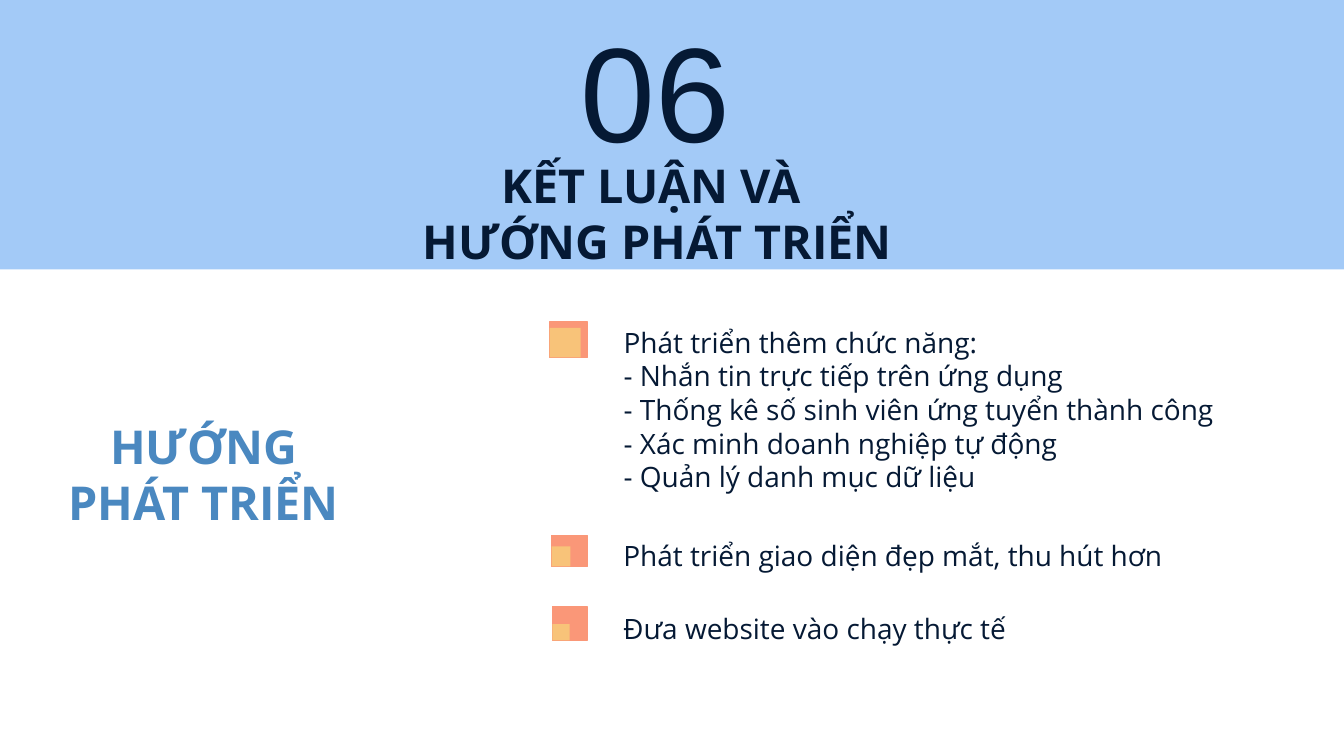
import pptx
import pptx.util
import pptx.dml.color
import pptx.enum.shapes
import pptx.enum.text
import pptx.oxml.ns
import lxml.etree

RGBColor = pptx.dml.color.RGBColor
ANCHOR = pptx.enum.text.MSO_ANCHOR
ALIGN = pptx.enum.text.PP_ALIGN
SKY = RGBColor(0xA3, 0xCA, 0xF7)
NAVY = RGBColor(0x05, 0x19, 0x34)
BLUE = RGBColor(0x4A, 0x88, 0xC0)
CORAL = RGBColor(0xFA, 0x97, 0x78)
AMBER = RGBColor(0xF8, 0xC3, 0x79)
PX = 4572

FEATURES = [
    "Phát triển thêm chức năng:",
    "- Nhắn tin trực tiếp trên ứng dụng",
    "- Thống kê số sinh viên ứng tuyển thành công",
    "- Xác minh doanh nghiệp tự động",
    "- Quản lý danh mục dữ liệu",
]


def place(sp, box):
    sp.left, sp.top, sp.width, sp.height = [v * PX for v in box]


def add_rect(s, box, color, outlined=False):
    sp = s.shapes.add_shape(pptx.enum.shapes.MSO_SHAPE.RECTANGLE, *[v * PX for v in box])
    sp.shadow.inherit = False
    sp.fill.solid()
    sp.fill.fore_color.rgb = color
    if outlined:
        sp.line.color.rgb = color
        sp.line.width = pptx.util.Pt(0.75)
    else:
        sp.line.fill.background()
    return sp


def add_textbox(s):
    return s.shapes.add_textbox(0, 0, PX, PX)


def write(sp, box, paragraphs, size, color=NAVY, font="Open Sans", bold=False,
          align=ALIGN.LEFT, anchor=ANCHOR.MIDDLE):
    place(sp, box)
    tf = sp.text_frame
    tf.word_wrap = True
    tf.auto_size = pptx.enum.text.MSO_AUTO_SIZE.NONE
    tf.vertical_anchor = anchor
    tf.margin_left = tf.margin_right = tf.margin_top = tf.margin_bottom = 20 * PX
    for i, lines in enumerate(paragraphs):
        p = tf.add_paragraph() if i else tf.paragraphs[0]
        p.alignment = align
        p.space_before = pptx.util.Pt(0)
        for j, line in enumerate(lines):
            if j:
                p.add_line_break()
            r = p.add_run()
            r.text = line
            r.font.name = font
            r.font.size = pptx.util.Pt(size)
            r.font.bold = bold
            r.font.color.rgb = color


def remove_bullets(sp):
    for p in sp.text_frame.paragraphs:
        pPr = p._p.get_or_add_pPr()
        pPr.set("marL", "0")
        pPr.set("indent", "0")
        lxml.etree.SubElement(pPr, pptx.oxml.ns.qn("a:buNone"))


def add_header(s, x, y, w, h):
    title = s.shapes.title
    band = add_rect(s, (x, y, w, h), SKY)
    title.element.addprevious(band.element)
    write(title, (x + 515, y + 226, 926, 184), [["KẾT LUẬN VÀ ", "HƯỚNG PHÁT TRIỂN"]],
          25, bold=True, align=ALIGN.CENTER)
    write(add_textbox(s), (x + 700, y + 102, 550, 172), [["06"]], 72, font="Arial",
          align=ALIGN.CENTER, anchor=ANCHOR.BOTTOM)


def add_marker(s, x, y, w, h, inner_w, inner_h):
    add_rect(s, (x, y, w, h), CORAL, outlined=True)
    add_rect(s, (x, y + h - inner_h, inner_w, inner_h), AMBER)


def add_goals(s, x, y, w):
    body = s.placeholders[1]
    write(body, (x + 90, y + 1, w - 90, 304), [[line] for line in FEATURES], 15)
    remove_bullets(body)
    add_marker(s, x, y + 23, 56, 53, 46, 44)
    write(add_textbox(s), (x + 90, y + 328, 978, 86),
          [["Phát triển giao diện đẹp mắt, thu hút hơn"]], 15)
    add_marker(s, x + 3, y + 341, 53, 46, 28, 30)
    write(add_textbox(s), (x + 90, y + 436, 628, 86),
          [["Đưa website vào chạy thực tế"]], 15)
    add_marker(s, x + 4, y + 447, 52, 50, 26, 24)


def main():
    prs = pptx.Presentation()
    prs.slide_width, prs.slide_height = 2000 * PX, 1125 * PX
    s = prs.slides.add_slide(prs.slide_layouts[1])
    add_header(s, 0, -2, 2006, 403)
    write(add_textbox(s), (55, 613, 496, 184), [["HƯỚNG PHÁT TRIỂN"]], 25, BLUE,
          bold=True, align=ALIGN.CENTER)
    add_goals(s, 818, 456, 1182)
    prs.save("out.pptx")


if __name__ == "__main__":
    main()
